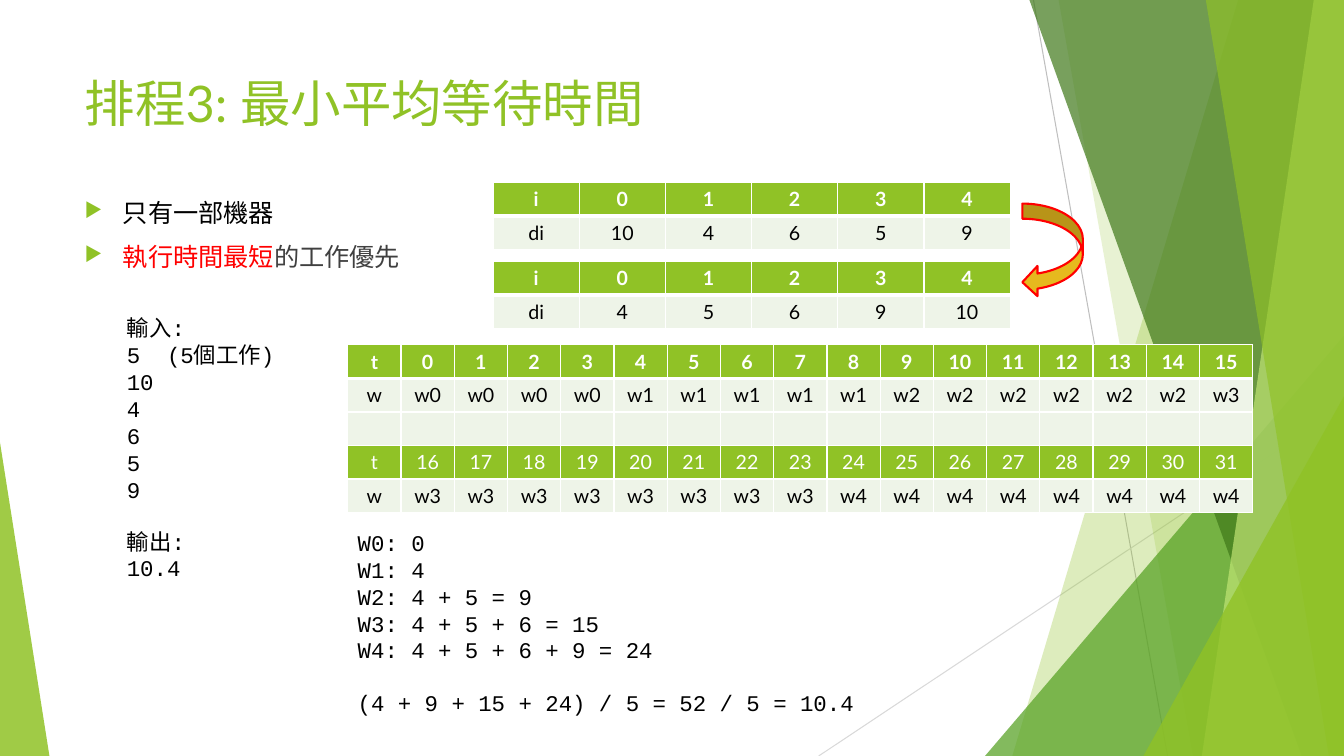
from dataclasses import dataclass

from lxml import etree
from pptx import Presentation
from pptx.dml.color import RGBColor
from pptx.enum.shapes import MSO_CONNECTOR, MSO_SHAPE
from pptx.enum.text import MSO_ANCHOR, MSO_AUTO_SIZE, PP_ALIGN
from pptx.oxml.ns import qn
from pptx.util import Inches, Pt

STRAIGHT = MSO_CONNECTOR.STRAIGHT
TRIANGLE = MSO_SHAPE.ISOSCELES_TRIANGLE
CURVED_ARROW = MSO_SHAPE.CURVED_LEFT_ARROW
TOP = MSO_ANCHOR.TOP
NO_AUTOFIT = MSO_AUTO_SIZE.NONE
LEFT, CENTER = PP_ALIGN.LEFT, PP_ALIGN.CENTER
WIDTH, HEIGHT = 13.33, 7.5
TITLE_ONLY = 5


@dataclass(frozen=True)
class Theme:
    green: str = "90C226"
    pale: str = "EEF4E8"
    white: str = "FFFFFF"
    black: str = "000000"
    gray: str = "404040"
    red: str = "FF0000"
    gold: str = "E6B91E"
    sans: str = "Lato"
    mono: str = "Courier New"
    title_size: int = 36
    body_size: int = 18
    code_size: int = 16
    cell_size: int = 14
    code_gap: int = 18


@dataclass(frozen=True)
class Facet:
    """A band running down the right edge, or a corner triangle."""
    left: float
    bottom_left: float
    color: str
    opacity: int


@dataclass(frozen=True)
class Corner:
    left: float
    top: float
    width: float
    apex: float
    color: str
    opacity: int


@dataclass(frozen=True)
class Ray:
    start: tuple[float, float]
    end: tuple[float, float]
    color: str


@dataclass(frozen=True)
class Grid:
    left: float
    top: float
    width: float
    rows: list[list[str]]
    green_rows: tuple[int, ...] = (0,)


THEME = Theme()
ROW_HEIGHT = 0.33

DECORATION = [
    Ray((10.25, 0), (11.58, HEIGHT), "BFBFBF"),
    Ray((WIDTH, 4.03), (8.12, HEIGHT), "D9D9D9"),
    Facet(12.28, 10.04, THEME.green, 30),
    Facet(10.5, 11.83, THEME.green, 20),
    Corner(9.77, 3.33, 3.56, 1, "54A021", 72),
    Facet(10.21, 12.91, "3F7819", 70),
    Facet(13.03, 11.92, "C0E474", 70),
    Facet(11.96, 13.18, THEME.green, 65),
    Corner(11.34, 3.93, 1.99, 1, THEME.green, 80),
    Corner(0, 4.39, 0.49, 0, THEME.green, 85),
]

# Jobs in sorted order fill the time slots one after another
DURATIONS = [10, 4, 6, 5, 9]
SORTED_DURATIONS = sorted(DURATIONS)
SLOTS = [f"w{job}" for job, length in enumerate(SORTED_DURATIONS) for _ in range(length)]
TIMES = [str(time) for time in range(32)]


def job_rows(durations: list[int]) -> list[list[str]]:
    return [["i", *map(str, range(len(durations)))], ["di", *map(str, durations)]]


GRIDS = [
    Grid(4.89, 1.81, 5.13, job_rows(DURATIONS)),
    Grid(4.89, 2.59, 5.13, job_rows(SORTED_DURATIONS)),
    Grid(3.45, 3.42, 8.98, [
        ["t", *TIMES[:16]], ["w", *SLOTS[:16]], [""] * 17,
        ["t", *TIMES[16:]], ["w", *SLOTS[16:32]],
    ], (0, 3)),
]

INPUT_OUTPUT = [["輸入:", "5  (5個工作)", "10", "4", "6", "5", "9"], ["輸出:", "10.4"]]
WAITING_TIMES = [
    ["W0: 0", "W1: 4", "W2: 4 + 5 = 9", "W3: 4 + 5 + 6 = 15", "W4: 4 + 5 + 6 + 9 = 24"],
    ["(4 + 9 + 15 + 24) / 5 = 52 / 5 = 10.4"],
]
BULLETS = [
    [("只有一部機器", THEME.black)],
    [("執行時間最短", THEME.red), ("的工作優先", THEME.gray)],
]


def write_text(paragraph, text: str, *, size: int, font: str = THEME.sans,
               color: str = THEME.black, bold: bool = False, align=LEFT) -> None:
    paragraph.alignment = align
    run = paragraph.add_run()
    run.text = text
    run.font.size, run.font.name, run.font.bold = Pt(size), font, bold
    run.font.color.rgb = RGBColor.from_string(color)


def paint(shape, color: str, opacity: int = 100) -> None:
    shape.shadow.inherit = False
    shape.fill.solid()
    shape.fill.fore_color.rgb = RGBColor.from_string(color)
    shape.line.fill.background()
    if opacity < 100:
        fill_color = shape.element.spPr.find(qn("a:solidFill"))[0]
        etree.SubElement(fill_color, qn("a:alpha"), val=str(opacity * 1000))


def draw_decoration(slide, part: Ray | Facet | Corner) -> None:
    if isinstance(part, Ray):
        line = slide.shapes.add_connector(STRAIGHT, *map(Inches, part.start + part.end))
        line.line.color.rgb = RGBColor.from_string(part.color)
        line.line.width = Pt(0.75)
        etree.SubElement(line.element.spPr, qn("a:effectLst"))
        return
    if isinstance(part, Facet):
        corners = [(WIDTH, 0), (WIDTH, HEIGHT), (part.bottom_left, HEIGHT)]
        builder = slide.shapes.build_freeform(Inches(part.left), 0)
        builder.add_line_segments([(Inches(x), Inches(y)) for x, y in corners], close=True)
        shape = builder.convert_to_shape()
    else:
        shape = slide.shapes.add_shape(TRIANGLE, Inches(part.left), Inches(part.top),
                                       Inches(part.width), Inches(HEIGHT - part.top))
        shape.adjustments[0] = part.apex
    paint(shape, part.color, part.opacity)


def add_text_frame(slide, left: float, top: float, width: float, height: float):
    box = slide.shapes.add_textbox(Inches(left), Inches(top), Inches(width), Inches(height))
    box.text_frame.word_wrap = True
    return box.text_frame


def next_paragraph(frame, index: int):
    return frame.add_paragraph() if index else frame.paragraphs[0]


def add_code(slide, blocks: list[list[str]], *place: float) -> None:
    frame = add_text_frame(slide, *place)
    lines = [(line, position) for block in blocks for position, line in enumerate(block)]
    for index, (line, position) in enumerate(lines):
        paragraph = next_paragraph(frame, index)
        if index and position == 0:
            paragraph.space_before = Pt(THEME.code_gap)
        write_text(paragraph, line, size=THEME.code_size, font=THEME.mono)


def add_bullets(slide) -> None:
    frame = add_text_frame(slide, 0.74, 1.91, 9.4, 4.7)
    for index, parts in enumerate(BULLETS):
        paragraph = next_paragraph(frame, index)
        if index:
            paragraph.space_before = Pt(10)
        properties = paragraph._p.get_or_add_pPr()
        properties.set("marL", str(Inches(0.38)))
        properties.set("indent", str(Inches(-0.38)))
        bullet_color = etree.SubElement(properties, qn("a:buClr"))
        etree.SubElement(bullet_color, qn("a:srgbClr"), val=THEME.green)
        etree.SubElement(properties, qn("a:buSzPct"), val="80000")
        etree.SubElement(properties, qn("a:buChar"), char="▶")
        for text, color in parts:
            write_text(paragraph, text, size=THEME.body_size, color=color)


def set_borders(cell, top: int, bottom: int) -> None:
    properties = cell._tc.get_or_add_tcPr()
    for side, width in (("L", 1), ("R", 1), ("T", top), ("B", bottom)):
        border = etree.SubElement(properties, qn(f"a:ln{side}"), w=str(Pt(width)))
        fill = etree.SubElement(border, qn("a:solidFill"))
        etree.SubElement(fill, qn("a:srgbClr"), val=THEME.white)


def add_grid(slide, grid: Grid) -> None:
    row_count, column_count = len(grid.rows), len(grid.rows[0])
    table = slide.shapes.add_table(row_count, column_count, Inches(grid.left), Inches(grid.top),
                                   Inches(grid.width), Inches(ROW_HEIGHT * row_count)).table
    table.first_row = table.horz_banding = False
    for column in table.columns:
        column.width = Inches(grid.width / column_count)
    for row, texts in enumerate(grid.rows):
        table.rows[row].height = Inches(ROW_HEIGHT)
        green = row in grid.green_rows
        for column, text in enumerate(texts):
            cell = table.cell(row, column)
            set_borders(cell, 3 if row == 1 else 1, 3 if row == 0 else 1)
            cell.fill.solid()
            cell.fill.fore_color.rgb = RGBColor.from_string(THEME.green if green else THEME.pale)
            if text:
                write_text(cell.text_frame.paragraphs[0], text, size=THEME.cell_size,
                           color=THEME.white if green else THEME.black,
                           bold=row == 0, align=CENTER)
            else:
                cell.margin_top = cell.margin_bottom = 0


def main() -> None:
    presentation = Presentation()
    presentation.slide_width, presentation.slide_height = Inches(WIDTH), Inches(HEIGHT)
    slide = presentation.slides.add_slide(presentation.slide_layouts[TITLE_ONLY])

    # Background facets, behind the title
    for part in DECORATION:
        draw_decoration(slide, part)

    # Title
    title = slide.shapes.title
    slide.shapes.element.append(title.element)
    title.left, title.top, title.width, title.height = map(Inches, (0.74, 0.67, 9.4, 1.44))
    title.text_frame.vertical_anchor = TOP
    title.text_frame.auto_size = NO_AUTOFIT
    write_text(title.text_frame.paragraphs[0], "排程3: 最小平均等待時間",
               size=THEME.title_size, color=THEME.green)

    # Rules, sample data and schedule
    add_bullets(slide)
    add_code(slide, INPUT_OUTPUT, 1.16, 3.07, 1.69, 2.79)
    for grid in GRIDS:
        add_grid(slide, grid)
    add_code(slide, WAITING_TIMES, 3.45, 5.2, 5.2, 1.99)

    # Arrow from the given order to the sorted order
    arrow = slide.shapes.add_shape(CURVED_ARROW, *map(Inches, (10.14, 2.02, 0.6, 0.93)))
    paint(arrow, THEME.gold)
    arrow.line.color.rgb = RGBColor.from_string(THEME.red)
    arrow.line.width = Pt(1.5)
    presentation.save("out.pptx")


if __name__ == "__main__":
    main()
